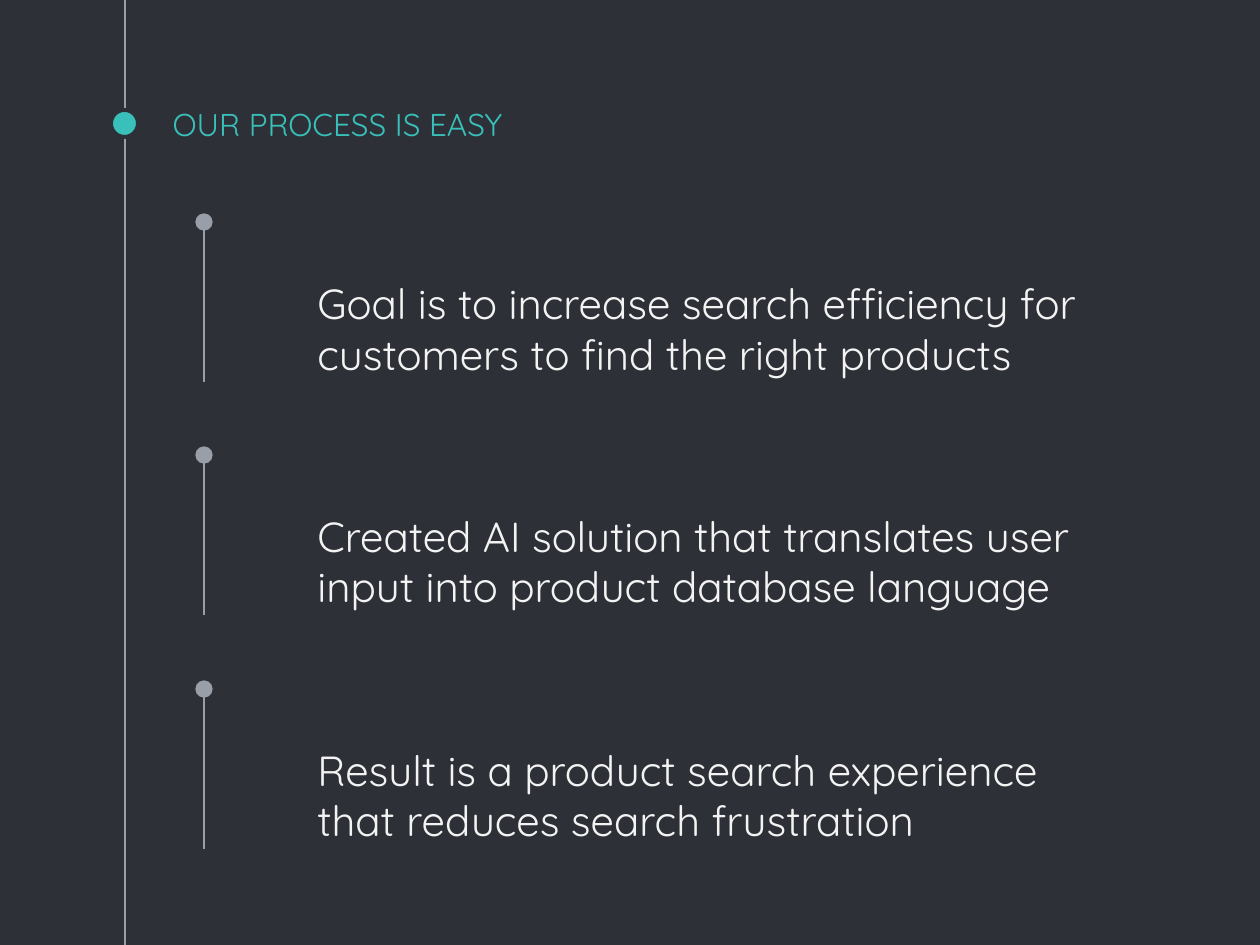
"""Build a dark process slide with a title and three steps on a timeline."""
from dataclasses import dataclass

from lxml import etree
from pptx import Presentation, util as u
from pptx.dml.color import RGBColor
from pptx.enum import shapes as sh, text as tx
from pptx.oxml.ns import qn


@dataclass
class Theme:
    back: str = "2E3037"
    teal: str = "39C0BA"
    gray: str = "999FA9"
    pale: str = "F3F3F3"
    font: str = "Quicksand"
    head: int = 18
    body: int = 24


theme = Theme()
PX = u.Inches(1) // 126


def write(box, words, size, color, anchor=tx.MSO_ANCHOR.TOP):
    frame = box.text_frame
    frame.word_wrap = True
    frame.auto_size = tx.MSO_AUTO_SIZE.NONE
    frame.vertical_anchor = anchor
    frame.margin_left = frame.margin_right = u.Inches(0.1)
    frame.margin_top = frame.margin_bottom = u.Inches(0.1)
    para = frame.paragraphs[0]
    para.alignment = tx.PP_ALIGN.LEFT
    run = para.add_run()
    run.text = words
    run.font.name = theme.font
    run.font.size = u.Pt(size)
    run.font.color.rgb = RGBColor.from_string(color)


def rule(x, start, end, dot=False):
    line = slide.shapes.add_connector(
        sh.MSO_CONNECTOR.STRAIGHT, x * PX, start * PX, x * PX, end * PX)
    line.line.color.rgb = RGBColor.from_string(theme.gray)
    line.line.width = u.Pt(0.75)
    props = line.element.spPr
    if dot:
        etree.SubElement(props.find(qn("a:ln")), qn("a:tailEnd"),
                         type="oval", w="lg", len="lg")
    etree.SubElement(props, qn("a:effectLst"))


deck = Presentation()
deck.slide_width, deck.slide_height = 1260 * PX, 945 * PX
slide = deck.slides.add_slide(deck.slide_layouts[5])
fill = slide.background.fill
fill.solid()
fill.fore_color.rgb = RGBColor.from_string(theme.back)

rule(125, -1, 945)
mark = slide.shapes.add_shape(
    sh.MSO_SHAPE.OVAL, 111 * PX, 110 * PX, 27 * PX, 27 * PX)
mark.shadow.inherit = False
mark.fill.solid()
mark.fill.fore_color.rgb = RGBColor.from_string(theme.teal)
mark.line.color.rgb = RGBColor.from_string(theme.back)
mark.line.width = u.Pt(2.25)

title = slide.shapes.title
title.left, title.top = 160 * PX, 92 * PX
title.width, title.height = 945 * PX, 63 * PX
write(title, "OUR PROCESS IS EASY", theme.head, theme.teal,
      anchor=tx.MSO_ANCHOR.BOTTOM)

steps = [
    ("Goal is to increase search efficiency for customers "
     "to find the right products", 877, 72),
    ("Created AI solution that translates user input "
     "into product database language", 800, 53),
    ("Result is a product search experience "
     "that reduces search frustration", 800, 49),
]
for i, (words, width, height) in enumerate(steps):
    top = 222 + round(233.3 * i)
    rule(204, top + 160, top, dot=True)
    box = slide.shapes.add_textbox(
        305 * PX, (top + 43) * PX, width * PX, height * PX)
    write(box, words, theme.body, theme.pale)

deck.save("out.pptx")
